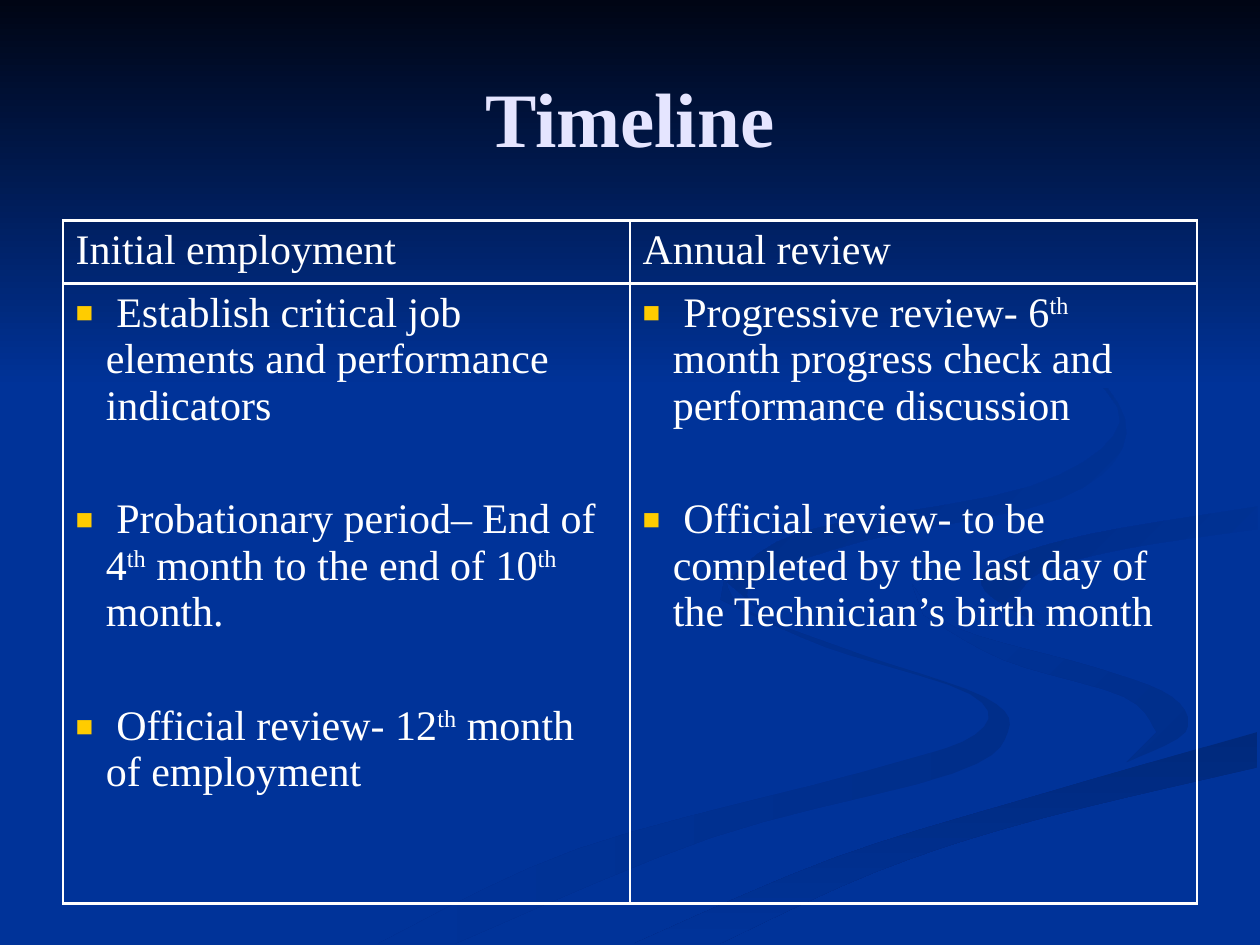
from lxml.etree import SubElement
from pptx import Presentation
from pptx.dml.color import RGBColor
from pptx.enum.shapes import MSO_SHAPE
from pptx.enum.text import MSO_ANCHOR, PP_ALIGN
from pptx.oxml.ns import qn
from pptx.util import Inches, Pt

FONT = "Times New Roman"
BLUE, WHITE, GOLD, LAVENDER = "003399", "FFFFFF", "FFCC00", "E5E5FF"

TITLE = "Timeline"
HEADINGS = ["Initial employment", "Annual review"]
# Text between carets is superscript.
STEPS = [
    [" Establish critical job elements and performance indicators",
     " Probationary period– End of 4^th^ month to the end of 10^th^ month.",
     " Official review- 12^th^ month of employment"],
    [" Progressive review- 6^th^ month progress check and performance discussion",
     " Official review- to be completed by the last day of the Technician’s birth month"],
]

# Background ribbons: first colour, last colour, clockwise angle,
# then knots in inches along one edge and back along the other.
RIBBONS = [
    ("002E8A", BLUE, 180,
     [(5.75, 4.59), (5.94, 4.85), (6.82, 5.19), (7.81, 5.53), (8, 5.81), (7.56, 6.14),
      (5.64, 6.65), (3.61, 7.49)],
     [(3, 7.49), (4.58, 6.74), (6.84, 6.13), (7.74, 5.83), (7.7, 5.51), (6.54, 5.13),
      (5.72, 4.76)]),
    ("002E8A", BLUE, 225,
     [(7.24, 4.64), (7.58, 4.98), (8.7, 5.3), (9.3, 5.53), (9.41, 5.81), (8.94, 6.05)],
     [(9.18, 5.81), (8.92, 5.53), (7.97, 5.24), (7.33, 4.88)]),
    ("00297C", BLUE, 90,
     [(5.71, 7.49), (6.95, 6.92), (8.21, 6.51), (9.98, 6.09)],
     [(9.98, 5.81), (8.31, 6.29), (6.62, 6.81), (5.03, 7.49)]),
    (BLUE, "002C85", 225,
     [(9.98, 4.02), (8.65, 4.24), (7.91, 4.47), (7.82, 4.69), (8.26, 4.96)],
     [(8.05, 4.76), (8.28, 4.53), (8.96, 4.35), (9.98, 4.2)]),
    (BLUE, "002B81", 225,
     [(7.62, 2.33), (8.54, 2.83), (8.94, 3.44), (8.41, 3.96), (6.83, 4.3), (5.94, 4.65),
      (6.22, 5)],
     [(5.77, 4.62), (6.37, 4.22), (8.18, 3.86), (8.89, 3.35), (8.46, 2.79)]),
]


def color(value):
    return RGBColor.from_string(value)


def smooth_edge(knots, steps=5):
    """Return points on a Catmull-Rom curve through the knots."""
    padded = [knots[0], *knots, knots[-1]]
    points = []
    for quad in zip(padded, padded[1:], padded[2:], padded[3:]):
        for step in range(steps):
            t = step / steps
            points.append(tuple(
                Inches(b + t * ((c - a) + t * ((2 * a - 5 * b + 4 * c - d)
                                               + t * (3 * b - a - 3 * c + d))) / 2)
                for a, b, c, d in zip(*quad)))
    return points + [tuple(map(Inches, knots[-1]))]


def paint(shape, first, last, angle):
    """Fill a shape with a linear gradient and no outline."""
    shape.shadow.inherit = False
    shape.line.fill.background()
    shape.fill.gradient()
    shape.fill.gradient_angle = 360 - angle
    for stop, value in zip(shape.fill.gradient_stops, (first, last)):
        stop.color.rgb = color(value)


def style(para, size, value, bold=False):
    font = para.font
    font.name, font.size, font.bold = FONT, Pt(size), bold
    font.color.rgb = color(value)


def add_bullet(para):
    props = para._p.get_or_add_pPr()
    props.set("marL", str(Inches(0.24)))
    props.set("indent", str(-Inches(0.24)))
    SubElement(SubElement(props, qn("a:buClr")), qn("a:srgbClr"), val=GOLD)
    SubElement(props, qn("a:buSzPct"), val="70000")
    SubElement(props, qn("a:buFont"), typeface=FONT)
    SubElement(props, qn("a:buChar"), char="■")


def write_spans(para, text):
    for index, part in enumerate(text.split("^")):
        span = para.add_run()
        span.text = part
        if index % 2:
            span._r.get_or_add_rPr().set("baseline", "30000")


def fill_cell(cell, lines, bulleted):
    props = cell._tc.get_or_add_tcPr()
    for side in ("lnL", "lnR", "lnT", "lnB"):
        border = SubElement(props, qn(f"a:{side}"), w=str(Pt(1.5)))
        SubElement(SubElement(border, qn("a:solidFill")), qn("a:srgbClr"), val=WHITE)
    cell.fill.background()
    frame = cell.text_frame
    for index, line in enumerate(lines):
        para = frame.add_paragraph() if index else frame.paragraphs[0]
        if bulleted:
            add_bullet(para)
        if index:
            para.space_before = Pt(38.5)
        style(para, 24, WHITE)
        write_spans(para, line)


deck = Presentation()
deck.slide_width, deck.slide_height = Inches(10), Inches(7.5)
page = deck.slides.add_slide(deck.slide_layouts[5])
page.background.fill.solid()
page.background.fill.fore_color.rgb = color(BLUE)

for first, last, angle, edge, edge_back in RIBBONS:
    points = smooth_edge(edge) + smooth_edge(edge_back)
    builder = page.shapes.build_freeform(*points[0])
    builder.add_line_segments(points[1:])
    paint(builder.convert_to_shape(), first, last, angle)
sky = page.shapes.add_shape(MSO_SHAPE.RECTANGLE, 0, 0, deck.slide_width, Inches(3.08))
paint(sky, "000514", BLUE, 90)

title = page.shapes.title
page.shapes._spTree.append(title._element)
title.left, title.top, title.width, title.height = map(Inches, (0.5, 0.3, 9, 1.25))
title.text_frame.vertical_anchor = MSO_ANCHOR.MIDDLE
title.text_frame.text = TITLE
heading = title.text_frame.paragraphs[0]
heading.alignment = PP_ALIGN.CENTER
style(heading, 44, LAVENDER, bold=True)

table = page.shapes.add_table(2, 2, Inches(0.5), Inches(1.75), Inches(9), Inches(5.42)).table
table.first_row = table.horz_banding = False
table.rows[0].height, table.rows[1].height = Inches(0.5), Inches(4.92)
for column, (name, steps) in enumerate(zip(HEADINGS, STEPS)):
    fill_cell(table.cell(0, column), [name], bulleted=False)
    fill_cell(table.cell(1, column), steps, bulleted=True)

deck.save("out.pptx")
